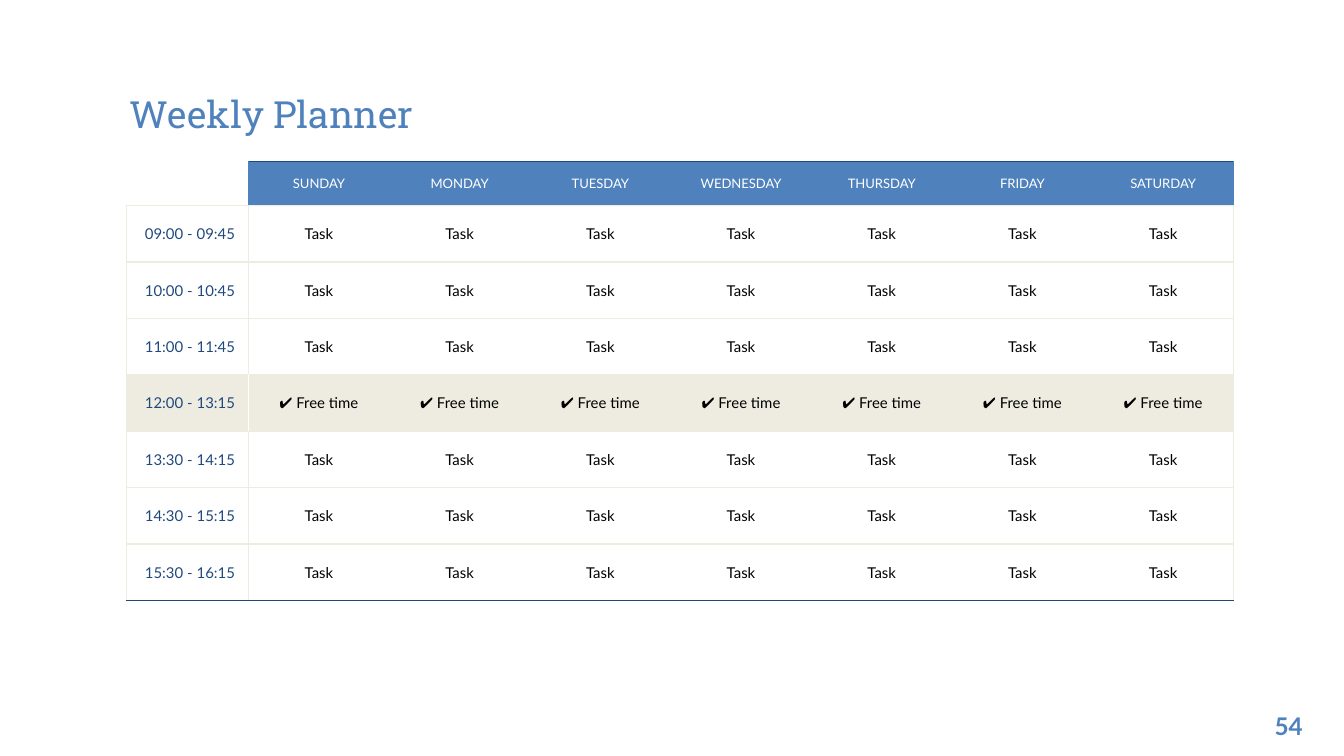
from dataclasses import dataclass

from lxml.etree import SubElement
from pptx import Presentation
from pptx.dml.color import RGBColor
from pptx.enum.text import MSO_ANCHOR, PP_ALIGN
from pptx.oxml.ns import qn
from pptx.util import Inches, Pt


@dataclass(frozen=True)
class Theme:
    blue: str = "4F81BD"
    navy: str = "1F497D"
    cream: str = "EEECE1"
    white: str = "FFFFFF"
    black: str = "000000"
    title_font: str = "Roboto Slab"
    body_font: str = "Lato"
    title_size: int = 20
    number_size: int = 13
    cell_size: int = 8
    header_size: int = 7


THEME = Theme()

DAYS = ["SUNDAY", "MONDAY", "TUESDAY", "WEDNESDAY", "THURSDAY", "FRIDAY", "SATURDAY"]
SLOTS = [
    ("09:00 - 09:45", "Task"),
    ("10:00 - 10:45", "Task"),
    ("11:00 - 11:45", "Task"),
    ("12:00 - 13:15", "✔ Free time"),
    ("13:30 - 14:15", "Task"),
    ("14:30 - 15:15", "Task"),
    ("15:30 - 16:15", "Task"),
]
BREAK_ROW = 4
LAST_ROW, LAST_COL = len(SLOTS), len(DAYS)

SLIDE_WIDTH = 10
SLIDE_HEIGHT = SLIDE_WIDTH * 9 / 16
TABLE_WIDTH, TIME_WIDTH = 8.24, 0.91
HEADER_HEIGHT, SLOT_HEIGHT = 0.33, 0.42
INSET = Inches(0.1)


def set_text(tf, text, font, size, color, align, bold=False):
    """Write one formatted paragraph into a text frame."""
    tf.text = text
    p = tf.paragraphs[0]
    p.alignment = align
    for r in p.runs:
        r.font.name = font
        r.font.size = Pt(size)
        r.font.bold = bold
        r.font.color.rgb = RGBColor.from_string(color)


def set_margins(holder):
    """Give a text frame or a table cell the same inset on each side."""
    holder.margin_left = holder.margin_right = INSET
    holder.margin_top = holder.margin_bottom = INSET


def add_title(slide, text):
    title = slide.shapes.title
    title.left, title.top = Inches(0.86), Inches(0.34)
    title.width, title.height = Inches(8.28), Inches(0.77)
    tf = title.text_frame
    tf.vertical_anchor = MSO_ANCHOR.BOTTOM
    set_margins(tf)
    set_text(tf, text, THEME.title_font, THEME.title_size, THEME.blue, PP_ALIGN.LEFT)


def add_page_number(slide, number):
    box = slide.shapes.add_textbox(Inches(9.19), Inches(5.19), Inches(0.6), Inches(0.43))
    tf = box.text_frame
    tf.word_wrap = True
    set_margins(tf)
    set_text(tf, number, THEME.body_font, THEME.number_size, THEME.blue,
             PP_ALIGN.RIGHT, bold=True)


def horizontal_edge(edge, col):
    """Colour of the rule above row number `edge`."""
    if edge == 0:
        return THEME.navy if col > 0 else None
    return THEME.navy if edge == LAST_ROW + 1 else THEME.cream


def vertical_edge(row, edge):
    """Colour of the rule left of column number `edge`; days have none between them."""
    if edge not in (0, 1, LAST_COL + 1):
        return None
    if row == 0:
        return THEME.blue if edge > 0 else None
    return THEME.white if row == BREAK_ROW and edge == 1 else THEME.cream


def set_borders(cell, row, col):
    tc_pr = cell._tc.get_or_add_tcPr()
    edges = {
        "a:lnL": vertical_edge(row, col),
        "a:lnR": vertical_edge(row, col + 1),
        "a:lnT": horizontal_edge(row, col),
        "a:lnB": horizontal_edge(row + 1, col),
    }
    for tag, color in edges.items():
        ln = SubElement(tc_pr, qn(tag), w=str(Pt(0.75)))
        if color:
            fill = SubElement(ln, qn("a:solidFill"))
            SubElement(fill, qn("a:srgbClr"), val=color)
        else:
            SubElement(ln, qn("a:noFill"))


def set_fill(cell, color):
    if color:
        cell.fill.solid()
        cell.fill.fore_color.rgb = RGBColor.from_string(color)
    else:
        cell.fill.background()


def format_cell(cell, row, col, text):
    header = row == 0
    if header:
        size, color, fill = THEME.header_size, THEME.white, THEME.blue if col else None
    else:
        size = THEME.cell_size
        color = THEME.black if col else THEME.navy
        fill = THEME.cream if row == BREAK_ROW else None
    align = PP_ALIGN.CENTER if header or col else PP_ALIGN.RIGHT
    set_text(cell.text_frame, text, THEME.body_font, size, color, align)
    if not text:
        # Keep the blank corner from stretching the header row
        SubElement(cell.text_frame.paragraphs[0]._p, qn("a:endParaRPr"), sz=str(size * 100))
    set_margins(cell)
    cell.vertical_anchor = MSO_ANCHOR.MIDDLE
    set_borders(cell, row, col)
    set_fill(cell, fill)


def add_planner(slide):
    rows = [["", *DAYS]] + [[time] + [entry] * len(DAYS) for time, entry in SLOTS]
    height = HEADER_HEIGHT + SLOT_HEIGHT * len(SLOTS)
    table = slide.shapes.add_table(len(rows), len(rows[0]), Inches(0.94), Inches(1.2),
                                   Inches(TABLE_WIDTH), Inches(height)).table
    table.first_row = table.horz_banding = False

    # Grid sizes
    day_width = (TABLE_WIDTH - TIME_WIDTH) / len(DAYS)
    for c, column in enumerate(table.columns):
        column.width = Inches(day_width if c else TIME_WIDTH)
    for r, row in enumerate(table.rows):
        row.height = Inches(SLOT_HEIGHT if r else HEADER_HEIGHT)

    # Cell contents
    for r, texts in enumerate(rows):
        for c, text in enumerate(texts):
            format_cell(table.cell(r, c), r, c, text)


def main():
    prs = Presentation()
    prs.slide_width, prs.slide_height = Inches(SLIDE_WIDTH), Inches(SLIDE_HEIGHT)
    s = prs.slides.add_slide(prs.slide_layouts[5])
    add_title(s, "Weekly Planner")
    add_page_number(s, "54")
    add_planner(s)
    prs.save("out.pptx")


if __name__ == "__main__":
    main()
